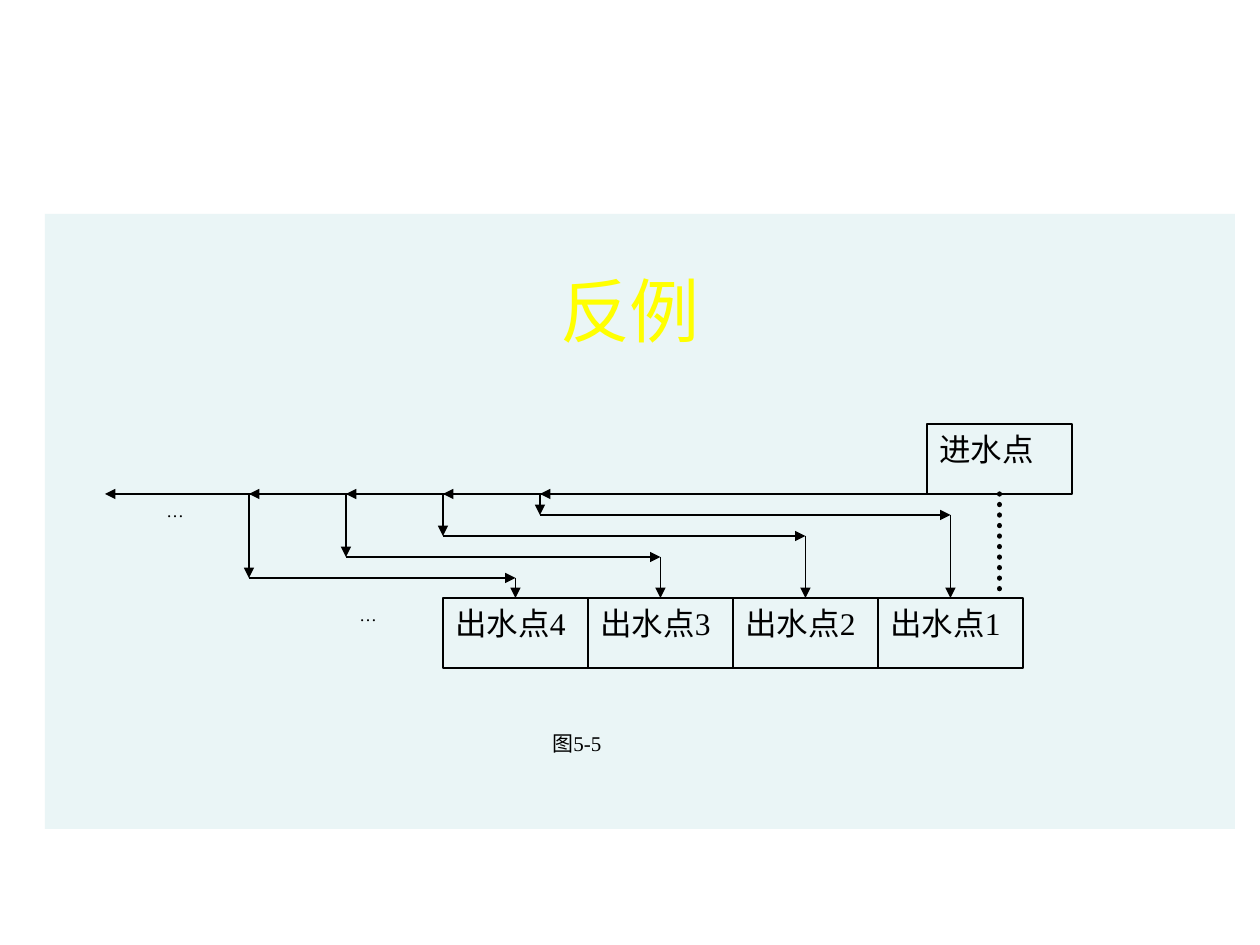
from dataclasses import dataclass

from pptx import Presentation
from pptx.dml.color import RGBColor as RGB
from pptx.enum.shapes import MSO_CONNECTOR as CONN, MSO_SHAPE as SHAPE
from pptx.enum.text import MSO_ANCHOR as ANCHOR, PP_ALIGN as ALIGN
from pptx.oxml import parse_xml
from pptx.oxml.ns import nsdecls, qn
from pptx.util import Pt

EMU_PER_PX = 914400 / 126
NS = nsdecls("a")


def px(n):
    return round(n * EMU_PER_PX)


@dataclass(frozen=True)
class Theme:
    ink: RGB = RGB(0, 0, 0)
    title: RGB = RGB(0xFF, 0xFF, 0)
    band: RGB = RGB(0xBB, 0xE0, 0xE3)
    band_alpha: int = 30000
    title_font: str = "Arial"
    body_font: str = "Times New Roman"
    title_size: int = 40
    box_size: int = 18
    caption_size: int = 12
    dots_size: int = 10
    thin: float = 0.75
    thick: float = 3


class Canvas:
    def __init__(self, slide, theme):
        self.slide = slide
        self.shapes = slide.shapes
        self.theme = theme

    def set_text(self, sp, text, size, font, color, align, anchor=ANCHOR.TOP):
        tf = sp.text_frame
        tf.text = text
        tf.word_wrap = True
        tf.vertical_anchor = anchor
        tf.margin_left = tf.margin_right = Pt(7.2)
        tf.margin_top = tf.margin_bottom = Pt(3.6)
        p = tf.paragraphs[0]
        p.alignment = align
        r = p.runs[0]
        r.font.size = Pt(size)
        r.font.color.rgb = color
        r.font.name = font
        return r

    def title(self, text, x, y, w, h):
        t = self.theme
        sp = self.shapes.title
        sp.left, sp.top, sp.width, sp.height = map(px, (x, y, w, h))
        r = self.set_text(sp, text, t.title_size, t.title_font, t.title,
                          ALIGN.CENTER, ANCHOR.MIDDLE)
        shadow = parse_xml(
            f'<a:effectLst {NS}><a:outerShdw dist="35921" dir="2700000">'
            f'<a:srgbClr val="{t.ink}"/></a:outerShdw></a:effectLst>')
        r._r.rPr.find(qn("a:solidFill")).addnext(shadow)

    def rect(self, x, y, w, h):
        sp = self.shapes.add_shape(SHAPE.RECTANGLE, *map(px, (x, y, w, h)))
        sp.shadow.inherit = False
        return sp

    def band(self, x, y, w, h):
        sp = self.rect(x, y, w, h)
        sp.fill.solid()
        sp.fill.fore_color.rgb = self.theme.band
        sp.line.fill.background()
        color = sp.element.spPr.find(qn("a:solidFill"))[0]
        color.append(parse_xml(f'<a:alpha {NS} val="{self.theme.band_alpha}"/>'))
        self.shapes.title.element.addprevious(sp.element)

    def box(self, text, x, y, w, h):
        t = self.theme
        sp = self.rect(x, y, w, h)
        sp.fill.background()
        sp.line.color.rgb = t.ink
        sp.line.width = Pt(t.thin)
        self.set_text(sp, text, t.box_size, t.body_font, t.ink, ALIGN.JUSTIFY)
        return sp

    def label(self, text, x, y, w, h, size):
        t = self.theme
        sp = self.shapes.add_textbox(*map(px, (x, y, w, h)))
        self.set_text(sp, text, size, t.body_font, t.ink, ALIGN.JUSTIFY)

    def line(self, x1, y1, x2, y2, width):
        c = self.shapes.add_connector(CONN.STRAIGHT, *map(px, (x1, y1, x2, y2)))
        c.line.color.rgb = self.theme.ink
        c.line.width = Pt(width)
        c.element.spPr.append(parse_xml(f"<a:effectLst {NS}/>"))
        return c

    def arrow(self, x1, y1, x2, y2):
        c = self.line(x1, y1, x2, y2, self.theme.thin)
        c.line._ln.append(parse_xml(f'<a:tailEnd {NS} type="triangle"/>'))
        return c

    def dotted(self, x1, y1, x2, y2):
        c = self.line(x1, y1, x2, y2, self.theme.thick)
        ln = c.line._ln
        ln.set("cap", "rnd")
        ln.append(parse_xml(f'<a:prstDash {NS} val="sysDot"/>'))
        return c


def main():
    prs = Presentation()
    prs.slide_width, prs.slide_height = px(1260), px(945)
    theme = Theme()
    s = Canvas(prs.slides.add_slide(prs.slide_layouts[5]), theme)

    s.band(45, 214, 1190, 615)
    s.title("反例", 63, 231, 1134, 157)

    box_w, box_h = 145, 70
    main_y, outlet_y = 494, 598
    inlet_x, outlet_x = 927, 878
    supply_x = inlet_x + box_w / 2

    inlet = s.box("进水点", inlet_x, main_y - box_h, box_w, box_h)
    supply = s.dotted(supply_x, main_y, supply_x, outlet_y)
    supply.begin_connect(inlet, 2)

    for i, start_x in enumerate((supply_x, supply_x, 805, 709)):
        left = outlet_x - i * box_w
        target_x = left + box_w / 2
        branch_x = 540 - i * 97
        branch_y = 515 + i * 21
        outlet = s.box(f"出水点{i + 1}", left, outlet_y, box_w, box_h)
        s.arrow(start_x, main_y, branch_x, main_y)
        s.arrow(branch_x, main_y, branch_x, branch_y)
        s.arrow(branch_x, branch_y, target_x, branch_y)
        drop = s.arrow(target_x, branch_y, target_x, outlet_y)
        drop.end_connect(outlet, 0)
    s.arrow(612, main_y, 105, main_y)

    s.label("…", 154, main_y, 97, 63, theme.dots_size)
    s.label("…", 347, outlet_y, 88, 63, theme.dots_size)
    s.label("图5-5", 540, 724, 193, 63, theme.caption_size)

    prs.save("out.pptx")


if __name__ == "__main__":
    main()
